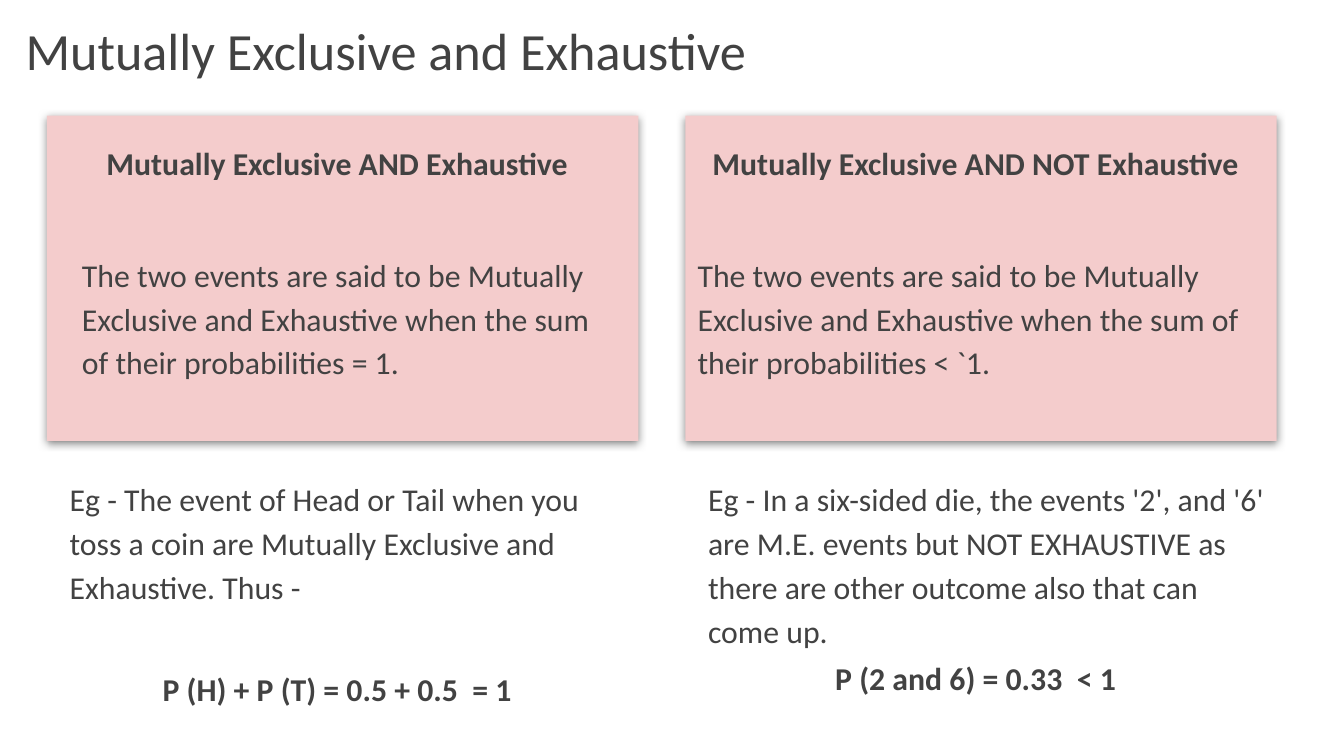
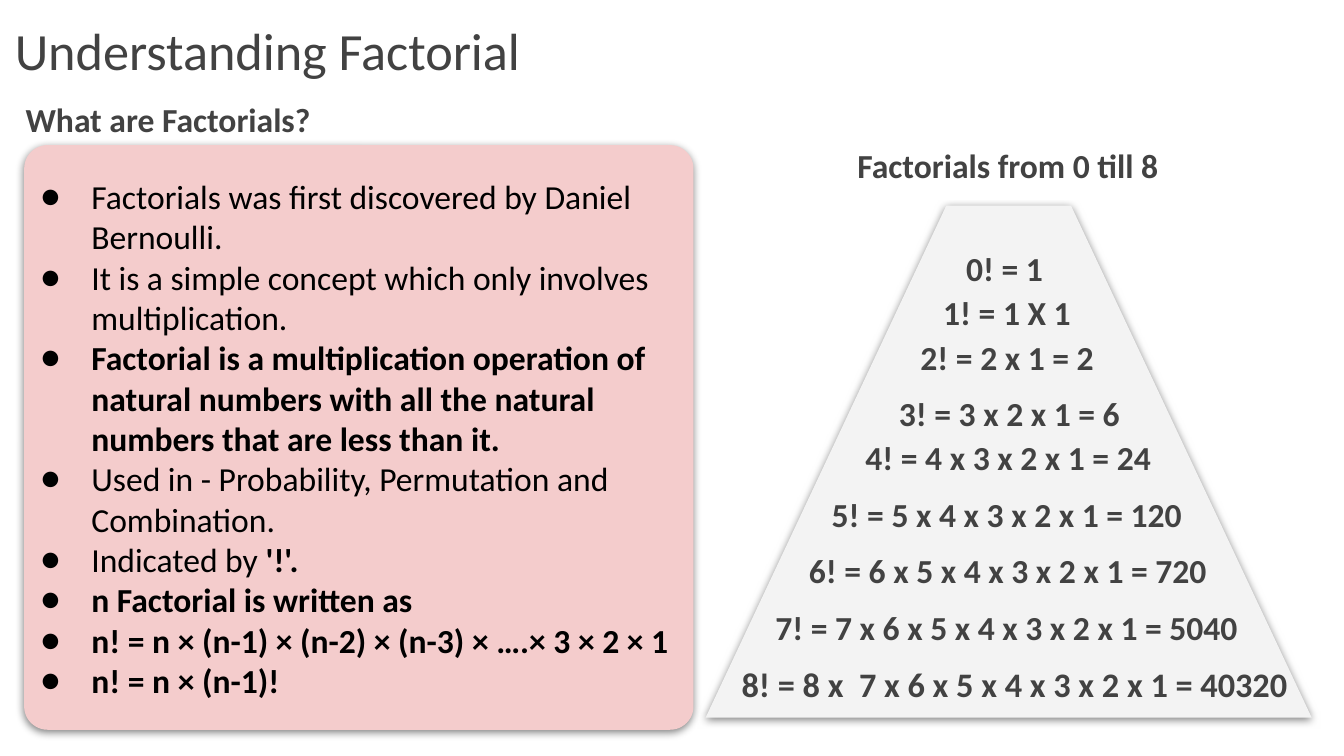
"""Builds two slides on exclusive events and factorials."""
from lxml import etree
from pptx import Presentation
from pptx.dml.color import RGBColor
from pptx.enum.shapes import MSO_SHAPE
from pptx.enum.text import MSO_ANCHOR, MSO_AUTO_SIZE, PP_ALIGN
from pptx.oxml.ns import qn
from pptx.util import Inches, Pt

RECTANGLE, ROUNDED, TRAPEZOID = MSO_SHAPE.RECTANGLE, MSO_SHAPE.ROUNDED_RECTANGLE, MSO_SHAPE.TRAPEZOID
TOP, BOTTOM = MSO_ANCHOR.TOP, MSO_ANCHOR.BOTTOM
LEFT, CENTER = PP_ALIGN.LEFT, PP_ALIGN.CENTER
NO_FIT = MSO_AUTO_SIZE.NONE

FONT = "Calibri"
GREY, BLACK, WHITE, PINK, PALE = "424242", "000000", "FFFFFF", "F4CCCC", "F3F3F3"

deck = Presentation()
deck.slide_width = Inches(10)
deck.slide_height = deck.slide_width * 9 // 16
CELL = deck.slide_width // 100
COMPARISON = deck.slide_layouts[4]


def write(box, cells, paragraphs, size, color=GREY, align=LEFT, anchor=TOP,
          spacing=1.15, after=0, bullet=None):
    """Place a box on the grid and fill it with paragraphs of (text, bold) runs."""
    box.left, box.top, box.width, box.height = [int(cell * CELL) for cell in cells]
    frame = box.text_frame
    frame.word_wrap, frame.auto_size, frame.vertical_anchor = True, NO_FIT, anchor
    frame.margin_left = frame.margin_right = frame.margin_top = frame.margin_bottom = Inches(0.1)
    for index, runs in enumerate(paragraphs):
        para = frame.add_paragraph() if index else frame.paragraphs[0]
        properties = para._p.get_or_add_pPr()
        properties.set("marL", str(Inches(0.5) if bullet else 0))
        properties.set("indent", str(Inches(-0.38) if bullet else 0))
        if bullet:
            tint = etree.SubElement(properties, qn("a:buClr"))
            etree.SubElement(tint, qn("a:srgbClr"), val=color)
            etree.SubElement(properties, qn("a:buFont"), typeface=FONT)
            etree.SubElement(properties, qn("a:buChar"), char=bullet)
        else:
            etree.SubElement(properties, qn("a:buNone"))
        para.alignment, para.line_spacing = align, spacing
        para.space_before, para.space_after = Pt(0), Pt(after)
        for text, bold in runs:
            span = para.add_run()
            span.text = text
            span.font.name, span.font.size, span.font.bold = FONT, Pt(size), bold
            span.font.color.rgb = RGBColor.from_string(color)


def add_card(page, kind, cells, fill, adjustment=None):
    """Add a borderless card with a soft shadow behind the page's text."""
    card = page.shapes.add_shape(kind, *[int(cell * CELL) for cell in cells])
    if adjustment is not None:
        card.adjustments[0] = adjustment
    card.fill.solid()
    card.fill.fore_color.rgb = RGBColor.from_string(fill)
    card.line.fill.background()
    card.shadow.inherit = False
    effects = card.element.spPr.find(qn("a:effectLst"))
    shadow = etree.SubElement(effects, qn("a:outerShdw"), blurRad=str(Pt(4.5)),
                              dist=str(Pt(1.5)), dir="5400000", algn="bl", rotWithShape="0")
    tint = etree.SubElement(shadow, qn("a:srgbClr"), val=BLACK)
    etree.SubElement(tint, qn("a:alpha"), val="50000")
    page.shapes.title.element.addprevious(card.element)


pages = []
for heading, left, width in [("Mutually Exclusive and Exhaustive", 0.9, 94.8),
                             ("Understanding Factorial", 0.1, 93.2)]:
    page = deck.slides.add_slide(COMPARISON)
    title = page.shapes.title
    write(title, (left, 0.7, width, 6.3), [[(heading, False)]], 28, anchor=BOTTOM, after=16)
    title.fill.solid()
    title.fill.fore_color.rgb = RGBColor.from_string(WHITE)
    pages.append(page)
events_page, factorial_page = pages

event_columns = [
    (3.5, 4.2, (5.1, 41.8), 44, 48.4,
     "Mutually Exclusive AND Exhaustive",
     "The two events are said to be Mutually Exclusive and Exhaustive when the sum "
     "of their probabilities = 1.",
     "Eg - The event of Head or Tail when you toss a coin are Mutually Exclusive and "
     "Exhaustive. Thus -",
     "P (H) + P (T) = 0.5 + 0.5  = 1"),
    (51, 51.7, (50.9, 43.4), 43.4, 47.6,
     "Mutually Exclusive AND NOT Exhaustive",
     "The two events are said to be Mutually Exclusive and Exhaustive when the sum "
     "of their probabilities < `1.",
     "Eg - In a six-sided die, the events '2', and '6' are M.E. events but NOT EXHAUSTIVE "
     "as there are other outcome also that can come up.",
     "P (2 and 6) = 0.33  < 1"),
]
for column, (card_left, left, (rule_left, rule_width), example_width, sum_top,
             heading, rule, example, total) in enumerate(event_columns):
    add_card(events_page, RECTANGLE, (card_left, 8.6, 44, 24.2), PINK)
    heading_box = events_page.placeholders[2 * column + 1]
    rule_box = events_page.placeholders[2 * column + 2]
    example_box = events_page.shapes.add_textbox(0, 0, 0, 0)
    sum_box = events_page.shapes.add_textbox(0, 0, 0, 0)
    write(heading_box, (left, 9.3, 41.8, 4.7), [[(heading, True)]], 17, align=CENTER)
    write(rule_box, (rule_left, 17.6, rule_width, 12.3), [[(rule, False)]], 17)
    write(example_box, (left, 34.3, example_width, 12.3), [[(example, False)]], 17)
    write(sum_box, (left, sum_top, 41.8, 5.5), [[(total, True)]], 17, align=CENTER)

add_card(factorial_page, TRAPEZOID, (52.5, 15.3, 45.1, 38.1), PALE, 0.47)
add_card(factorial_page, ROUNDED, (1.8, 10.8, 49.8, 43.5), PINK, 0.04)

facts = [
    [("Factorials was first discovered by Daniel Bernoulli.", False)],
    [("It is a simple concept which only involves multiplication.", False)],
    [("Factorial is a multiplication operation of natural numbers with all the natural "
      "numbers that are less than it.", True)],
    [("Used in - Probability, Permutation and Combination.", False)],
    [("Indicated by ", False), ("'!'.", True)],
    [("n Factorial is written as", True)],
    [("n! = n × (n-1) × (n-2) × (n-3) × ….× 3 × 2 × 1", True)],
    [("n! = n × (n-1)!", True)],
]
question_box, facts_box, caption_box, spare_box = [
    factorial_page.placeholders[index] for index in range(1, 5)]
spare_box.element.getparent().remove(spare_box.element)
write(question_box, (0.9, 5.9, 49.8, 6.3), [[("What are Factorials?", True)]], 18, after=12)
write(facts_box, (0.8, 12.1, 50.8, 41.3), facts, 18, BLACK, spacing=1.0, bullet="●")
write(caption_box, (50.1, 9.3, 49.8, 6.3), [[("Factorials from 0 till 8", True)]], 18,
      align=CENTER, after=12)

factorials = [
    ("0! = 1", 70.9, 17, 8.4, 18),
    ("1! = 1 X 1", 69.2, 20.3, 12.6, 18),
    ("2! = 2 x 1 = 2", 67.5, 23.6, 15.9, 18),
    ("3! = 3 x 2 x 1 = 6", 65.9, 27.8, 20.7, 18),
    ("4! = 4 x 3 x 2 x 1 = 24", 63.4, 31.1, 25.1, 18),
    ("5! = 5 x 4 x 3 x 2 x 1 = 120", 60.9, 35.3, 38, 18),
    ("6! = 6 x 5 x 4 x 3 x 2 x 1 = 720", 59.2, 39.5, 40, 18),
    ("7! = 7 x 6 x 5 x 4 x 3 x 2 x 1 = 5040", 56.7, 43.7, 37.8, 18),
    ("8! = 8 x  7 x 6 x 5 x 4 x 3 x 2 x 1 = 40320", 54.2, 47.9, 45, 18.4),
]
for formula, left, top, width, size in factorials:
    formula_box = factorial_page.shapes.add_textbox(0, 0, 0, 0)
    write(formula_box, (left, top, width, 6.3), [[(formula, True)]], size, after=12)

deck.save("out.pptx")
